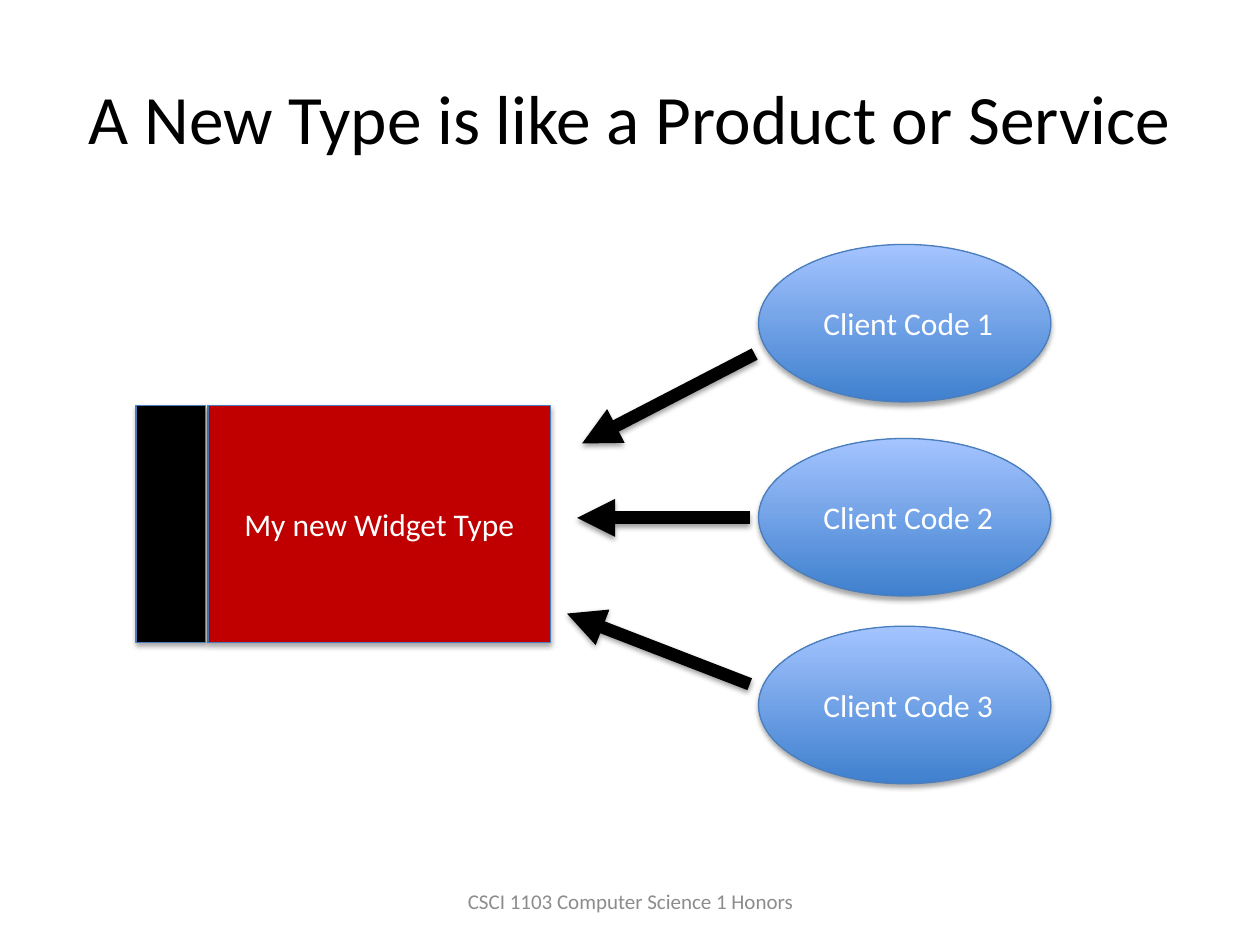
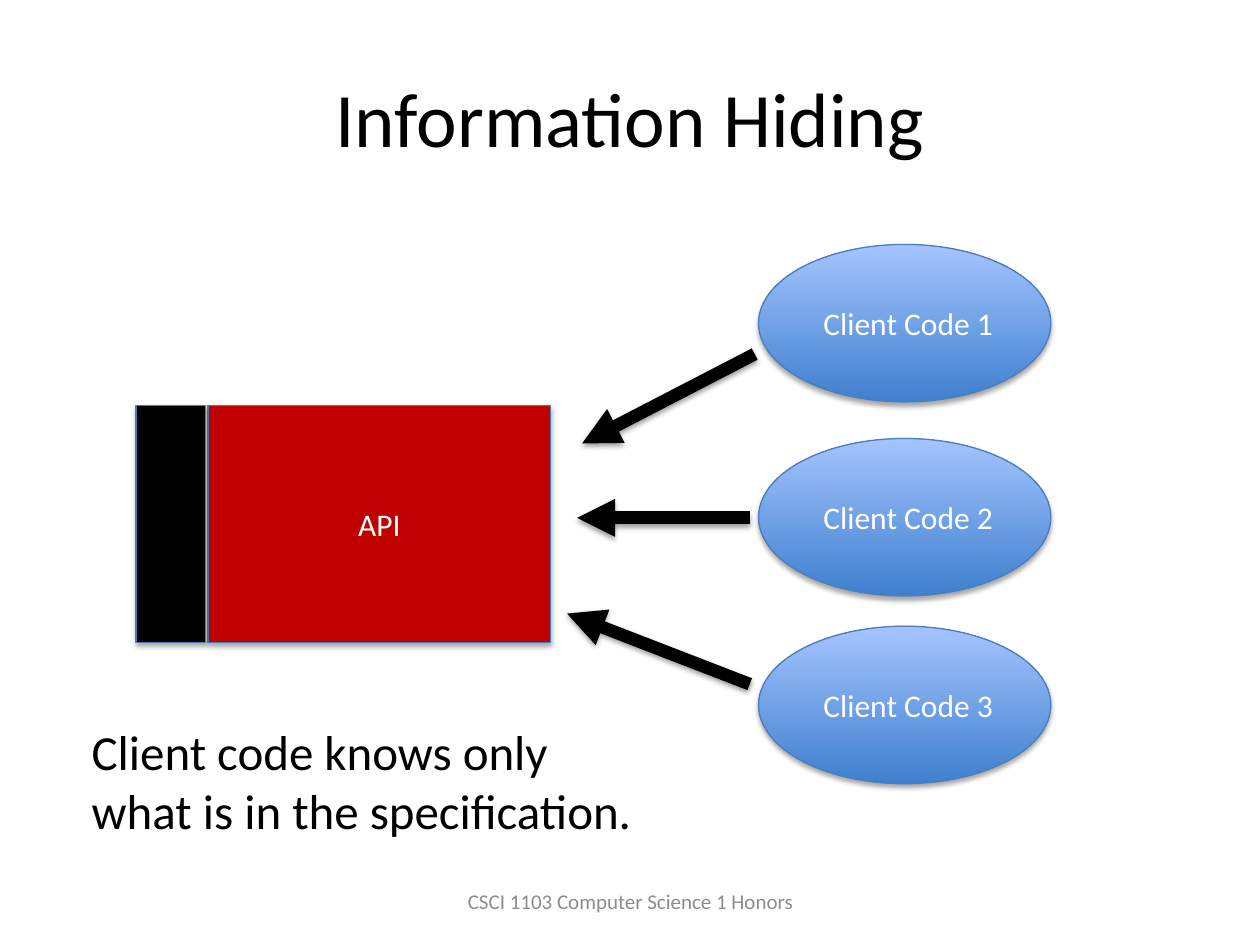
from dataclasses import dataclass

from lxml import etree
from pptx import Presentation
from pptx.dml.color import RGBColor
from pptx.enum.shapes import MSO_CONNECTOR, MSO_SHAPE
from pptx.enum.text import MSO_ANCHOR, PP_ALIGN
from pptx.oxml.ns import qn
from pptx.util import Inches, Pt

LINE = MSO_CONNECTOR.STRAIGHT
RECT, OVAL = MSO_SHAPE.RECTANGLE, MSO_SHAPE.OVAL
LEFT, CENTER = PP_ALIGN.LEFT, PP_ALIGN.CENTER
TOP, MIDDLE = MSO_ANCHOR.TOP, MSO_ANCHOR.MIDDLE


@dataclass(frozen=True)
class Theme:
    font: str = "Calibri"
    ink: str = "000000"
    white: str = "FFFFFF"
    grey: str = "8C8C8C"
    red: str = "C00000"
    edge: str = "4B7EBC"
    deep: str = "3F80CE"
    pale: str = "A4C4FF"
    title: float = 44
    body: float = 28
    label: float = 18
    foot: float = 12
    thin: float = 0.75
    thick: float = 7.25


THEME = Theme()
FOOTER = "CSCI 1103 Computer Science 1 Honors"
DIAGRAM = (1.08, 1.94)
CLIENTS = [
    (" Client Code 1", 0, (4.91, 0.87), (3.54, 1.58)),
    (" Client Code 2", 1.54, (4.87, 2.17), (3.5, 2.17)),
    (" Client Code 3", 3.03, (4.87, 3.49), (3.42, 2.93)),
]


def rgb(code):
    return RGBColor.from_string(code)


def write(shape, text, size=THEME.label, color=THEME.ink, align=CENTER, anchor=MIDDLE):
    frame = shape.text_frame
    frame.word_wrap = True
    frame.vertical_anchor = anchor
    para = frame.paragraphs[0]
    para.alignment = align
    run = para.add_run()
    run.text = text
    run.font.name = THEME.font
    run.font.size = Pt(size)
    run.font.color.rgb = rgb(color)


def shade(shape, alpha, dist):
    props = shape._element.spPr
    for old in props.findall(qn("a:effectLst")):
        props.remove(old)
    effects = etree.SubElement(props, qn("a:effectLst"))
    shadow = etree.SubElement(
        effects, qn("a:outerShdw"), blurRad=str(Pt(3.1)), dist=str(Pt(dist)),
        dir="5400000", rotWithShape="0")
    color = etree.SubElement(shadow, qn("a:srgbClr"), val=THEME.ink)
    etree.SubElement(color, qn("a:alpha"), val=str(alpha * 1000))


def block(slide, kind, box, fill=None, text=None):
    shape = slide.shapes.add_shape(kind, *map(Inches, box))
    if fill:
        shape.fill.solid()
        shape.fill.fore_color.rgb = rgb(fill)
    else:
        shape.fill.gradient()
        shape.fill.gradient_angle = 90
        for stop, code in zip(shape.fill.gradient_stops, (THEME.deep, THEME.pale)):
            stop.color.rgb = rgb(code)
    shape.line.color.rgb = rgb(THEME.edge)
    shape.line.width = Pt(THEME.thin)
    shade(shape, 35, 1.8)
    if text:
        write(shape, text, color=THEME.white)


def arrow(slide, start, end):
    link = slide.shapes.add_connector(LINE, *map(Inches, start + end))
    link.line.color.rgb = rgb(THEME.ink)
    link.line.width = Pt(THEME.thick)
    etree.SubElement(link.line._get_or_add_ln(), qn("a:tailEnd"), type="triangle")
    shade(link, 38, 1.6)


def label(slide, box, text, **style):
    write(slide.shapes.add_textbox(*map(Inches, box)), text, **style)


def diagram(slide, origin, name):
    left, top = origin

    def shift(x, y):
        return left + x, top + y

    for text, drop, start, end in CLIENTS:
        block(slide, OVAL, (*shift(4.94, drop), 2.32, 1.25), text=text)
        arrow(slide, shift(*start), shift(*end))
    block(slide, RECT, (*shift(0.57, 1.28), 2.72, 1.88), THEME.red, name)
    block(slide, RECT, (*shift(0, 1.28), 0.55, 1.88), THEME.ink)


def page(deck, title, name, size=THEME.title):
    slide = deck.slides.add_slide(deck.slide_layouts[5])
    head = slide.shapes.title
    head.left, head.top, head.width, head.height = map(Inches, (0.5, 0.3, 9, 1.25))
    write(head, title, size=size)
    label(slide, (3.42, 6.95, 3.17, 0.4), FOOTER, size=THEME.foot, color=THEME.grey)
    diagram(slide, DIAGRAM, name)
    return slide


def main():
    deck = Presentation()
    deck.slide_width, deck.slide_height = Inches(10), Inches(7.5)
    page(deck, "A New Type is like a Product or Service", "My new Widget Type", 39.6)
    slide = page(deck, "Information Hiding", "API")
    label(slide, (0.63, 5.68, 4.53, 1.04),
          "Client code knows only what is in the specification.",
          size=THEME.body, align=LEFT, anchor=TOP)
    deck.save("out.pptx")


if __name__ == "__main__":
    main()
